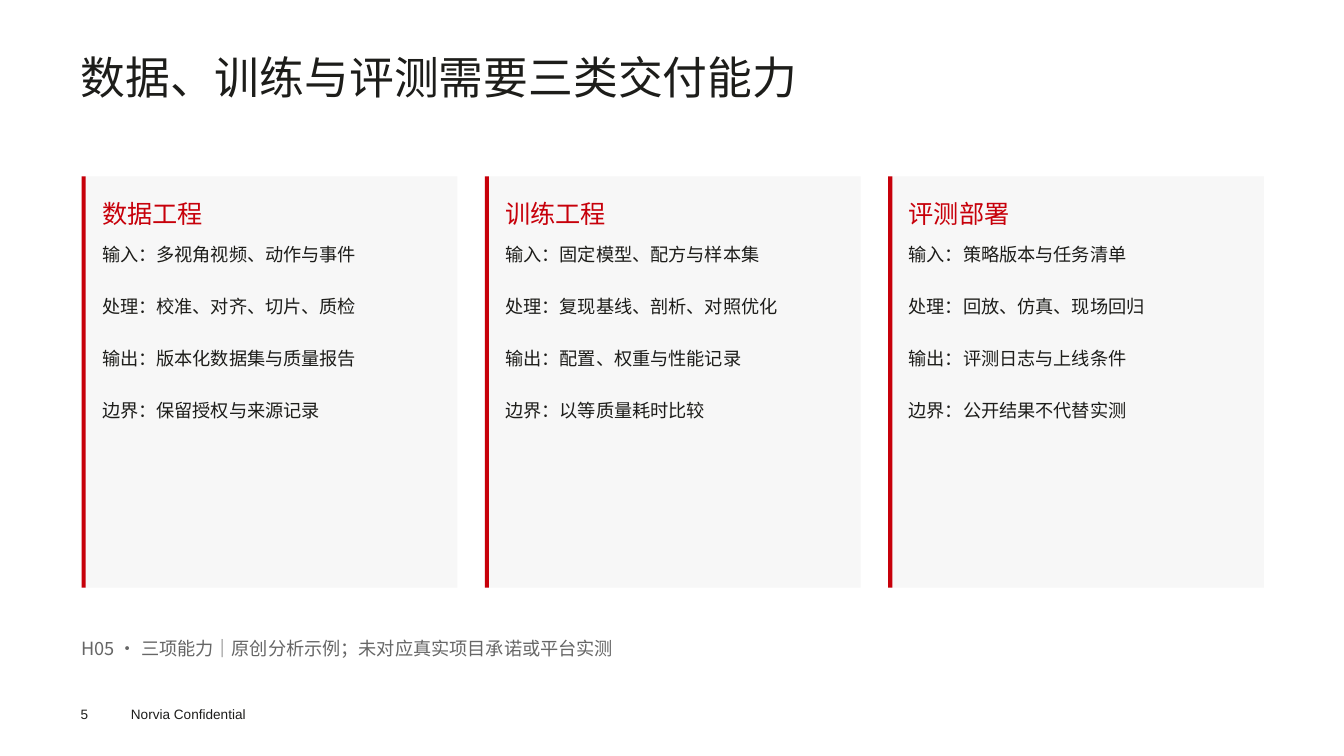
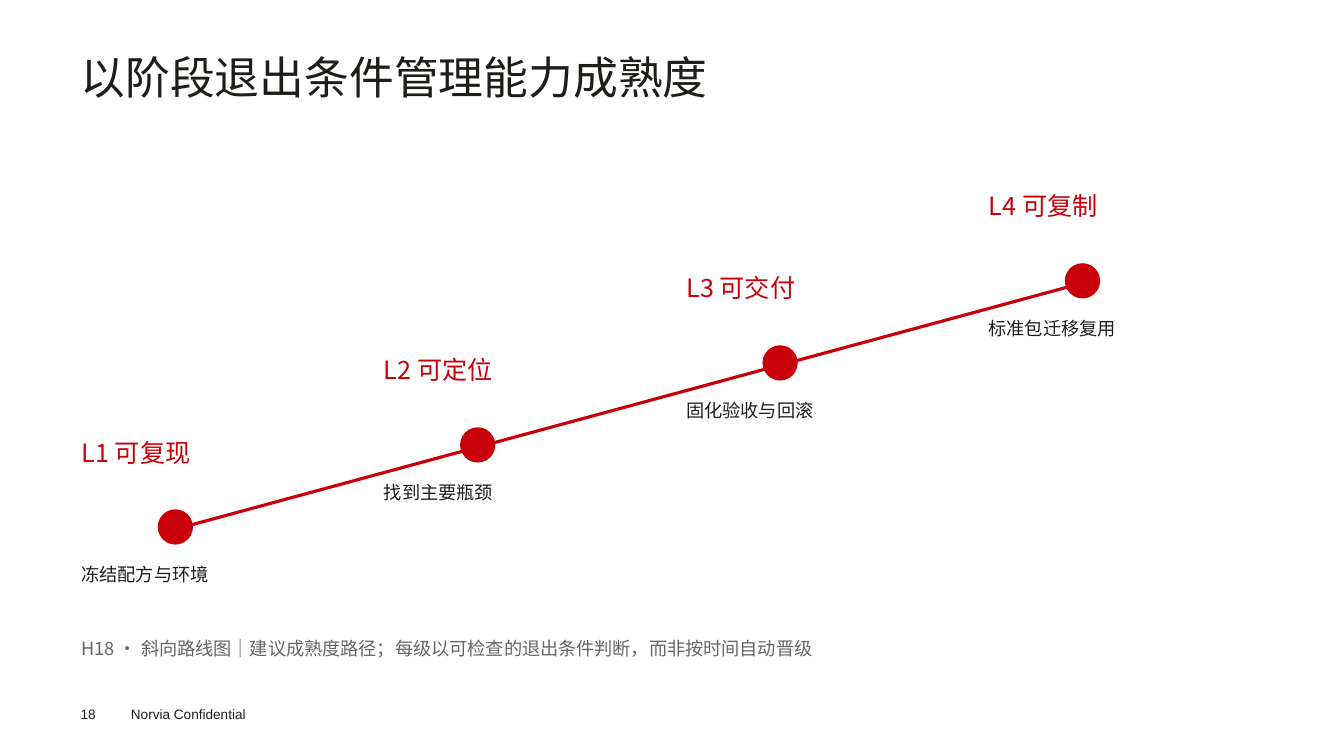
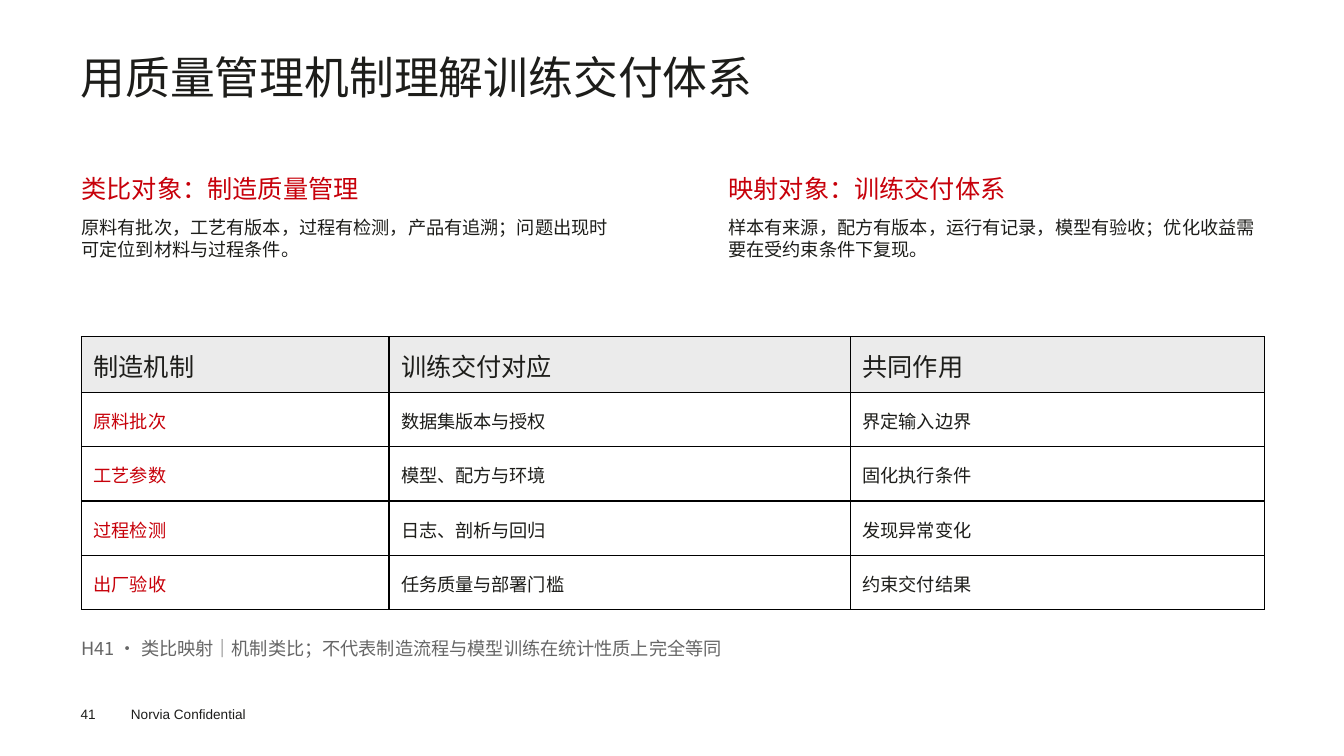
from dataclasses import dataclass

from lxml import etree
from pptx import Presentation
from pptx import util as u
from pptx.dml.color import RGBColor
from pptx.enum import shapes, text
from pptx.oxml import ns

COLORS = {
    "title": "1D1D1A",
    "footer": "1D1D1B",
    "accent": "C7000A",
    "muted": "666666",
    "card": "F7F7F7",
    "header": "EBEBEB",
    "white": "FFFFFF",
    "border": "000000",
}
CJK_FONT = "Noto Sans CJK SC"
LATIN_FONT = "Arial"
HEADING_SIZE = 18
BODY_SIZE = 13
LEFT = 58.3
CONTENT_WIDTH = 845.3
FOOTER_TEXT = "Norvia Confidential"


@dataclass(frozen=True)
class Box:
    left: float
    top: float
    width: float
    height: float

    def lengths(self) -> list[u.Length]:
        return [u.Pt(value) for value in (self.left, self.top, self.width, self.height)]


@dataclass(frozen=True)
class Style:
    size: float
    color: str
    font: str = CJK_FONT
    line_ratio: float = 1.32
    gap: float = 0


@dataclass(frozen=True)
class Card:
    heading: str
    lines: tuple[str, ...]


@dataclass(frozen=True)
class Stage:
    heading: str
    condition: str


@dataclass(frozen=True)
class Analogy:
    left: float
    heading: str
    body: str


TITLE = Style(32, "title", line_ratio=1.175)
HEADING = Style(HEADING_SIZE, "accent")
BODY = Style(BODY_SIZE, "title")
BODY_LIST = Style(BODY_SIZE, "title", gap=20)
BODY_WRAPPED = Style(BODY_SIZE, "title", line_ratio=1.21)
NOTE = Style(BODY_SIZE, "muted")
FOOTER = Style(9.7, "footer", LATIN_FONT, 0)
TABLE_HEADER = Style(HEADING_SIZE, "title", line_ratio=0)
TABLE_LABEL = Style(BODY_SIZE, "accent", line_ratio=0)
TABLE_BODY = Style(BODY_SIZE, "title", line_ratio=0)

CARDS = (
    Card("数据工程", (
        "输入：多视角视频、动作与事件",
        "处理：校准、对齐、切片、质检",
        "输出：版本化数据集与质量报告",
        "边界：保留授权与来源记录",
    )),
    Card("训练工程", (
        "输入：固定模型、配方与样本集",
        "处理：复现基线、剖析、对照优化",
        "输出：配置、权重与性能记录",
        "边界：以等质量耗时比较",
    )),
    Card("评测部署", (
        "输入：策略版本与任务清单",
        "处理：回放、仿真、现场回归",
        "输出：评测日志与上线条件",
        "边界：公开结果不代替实测",
    )),
)
STAGES = (
    Stage("L1 可复现", "冻结配方与环境"),
    Stage("L2 可定位", "找到主要瓶颈"),
    Stage("L3 可交付", "固化验收与回滚"),
    Stage("L4 可复制", "标准包迁移复用"),
)
ANALOGIES = (
    Analogy(LEFT, "类比对象：制造质量管理",
            "原料有批次，工艺有版本，过程有检测，产品有追溯；问题出现时可定位到材料与过程条件。"),
    Analogy(520.6, "映射对象：训练交付体系",
            "样本有来源，配方有版本，运行有记录，模型有验收；优化收益需要在受约束条件下复现。"),
)
MECHANISMS = (
    ("制造机制", "训练交付对应", "共同作用"),
    ("原料批次", "数据集版本与授权", "界定输入边界"),
    ("工艺参数", "模型、配方与环境", "固化执行条件"),
    ("过程检测", "日志、剖析与回归", "发现异常变化"),
    ("出厂验收", "任务质量与部署门槛", "约束交付结果"),
)


def rgb(name: str) -> RGBColor:
    return RGBColor.from_string(COLORS[name])


def format_text(text_frame, style: Style) -> None:
    for index, paragraph in enumerate(text_frame.paragraphs):
        paragraph.alignment = text.PP_ALIGN.LEFT
        if style.line_ratio:
            paragraph.line_spacing = u.Pt(round(style.size * style.line_ratio, 1))
        if index and style.gap:
            paragraph.space_before = u.Pt(style.gap)
        for run in paragraph.runs:
            run.font.size = u.Pt(style.size)
            run.font.color.rgb = rgb(style.color)
            run.font.name = style.font
            east_asian = etree.SubElement(run.font._element, ns.qn("a:ea"))
            east_asian.set("typeface", style.font)


def set_margins(target, left: float, top: float, right: float, bottom: float) -> None:
    target.margin_left, target.margin_top = u.Pt(left), u.Pt(top)
    target.margin_right, target.margin_bottom = u.Pt(right), u.Pt(bottom)


def add_text(slide, box: Box, content: str, style: Style) -> None:
    text_frame = slide.shapes.add_textbox(*box.lengths()).text_frame
    text_frame.word_wrap = True
    set_margins(text_frame, 0, 0, 0, 0)
    text_frame.text = content
    format_text(text_frame, style)


def add_filled(slide, kind: shapes.MSO_SHAPE, box: Box, color: str) -> None:
    shape = slide.shapes.add_shape(kind, *box.lengths())
    shape.shadow.inherit = False
    shape.fill.solid()
    shape.fill.fore_color.rgb = rgb(color)
    shape.line.fill.background()


def add_line(slide, start: tuple[float, float], end: tuple[float, float]) -> None:
    ends = [u.Pt(value) for value in (*start, *end)]
    connector = slide.shapes.add_connector(shapes.MSO_CONNECTOR.STRAIGHT, *ends)
    connector.line.color.rgb = rgb("accent")
    connector.line.width = u.Pt(2.25)
    etree.SubElement(connector._element.spPr, ns.qn("a:effectLst"))


def add_base_slide(presentation, number: int, title: str, note: str):
    slide = presentation.slides.add_slide(presentation.slide_layouts[6])
    add_text(slide, Box(93.6, 504, 108, 12), FOOTER_TEXT, FOOTER)
    add_text(slide, Box(57.6, 504, 39.6, 12), str(number), FOOTER)
    add_text(slide, Box(57.6, 36, 846, 78.5), title, TITLE)
    add_text(slide, Box(LEFT, 453.6, CONTENT_WIDTH, 32.4), note, NOTE)
    return slide


def draw_card(slide, card: Card, left: float) -> None:
    top, height = 126, 293.8
    add_filled(slide, shapes.MSO_SHAPE.RECTANGLE, Box(left, top, 268.6, height), "card")
    add_filled(slide, shapes.MSO_SHAPE.RECTANGLE, Box(left, top, 3, height), "accent")
    add_text(slide, Box(left + 14.7, 139.7, 239, 27.4), card.heading, HEADING)
    add_text(slide, Box(left + 14.7, 172.1, 239, 235.4), "\n".join(card.lines), BODY_LIST)


def draw_roadmap(slide) -> None:
    step_x, step_y, diameter = 216.1, -58.6, 25.2
    centers = [(125.3 + index * step_x, 378 + index * step_y) for index in range(len(STAGES))]
    for start, end in zip(centers, centers[1:]):
        add_line(slide, start, end)
    for stage, (x, y) in zip(STAGES, centers):
        left = x - 67
        add_filled(slide, shapes.MSO_SHAPE.OVAL,
                   Box(x - diameter / 2, y - 14.2, diameter, diameter), "accent")
        add_text(slide, Box(left, y - 68.2, 195, 27.4), stage.heading, HEADING)
        add_text(slide, Box(left, y + 23, 193.7, 43.9), stage.condition, BODY)


def set_borders(cell) -> None:
    properties = cell._tc.get_or_add_tcPr()
    for index, side in enumerate(("lnL", "lnR", "lnT", "lnB")):
        border = etree.Element(ns.qn(f"a:{side}"), w=str(u.Pt(1)))
        fill = etree.SubElement(border, ns.qn("a:solidFill"))
        etree.SubElement(fill, ns.qn("a:srgbClr"), val=COLORS["border"])
        properties.insert(index, border)


def draw_mechanism_table(slide) -> None:
    widths = (219.7, 329.8, 295.8)
    heights = (40, 38.7, 38.7, 38.7, 38.7)
    box = Box(LEFT, 240.5, sum(widths), sum(heights))
    table = slide.shapes.add_table(len(heights), len(widths), *box.lengths()).table
    for column, width in zip(table.columns, widths):
        column.width = u.Pt(width)
    for row_index, (row, height) in enumerate(zip(table.rows, heights)):
        row.height = u.Pt(height)
        for column_index, cell in enumerate(row.cells):
            is_header = row_index == 0
            cell.text_frame.text = MECHANISMS[row_index][column_index]
            body_style = TABLE_BODY if column_index else TABLE_LABEL
            format_text(cell.text_frame, TABLE_HEADER if is_header else body_style)
            cell.vertical_anchor = text.MSO_ANCHOR.MIDDLE
            set_margins(cell, 8.6, 7.2, 8.6, 5.8)
            cell.fill.solid()
            cell.fill.fore_color.rgb = rgb("header" if is_header else "white")
            set_borders(cell)


def build_capabilities(presentation) -> None:
    slide = add_base_slide(presentation, 5, "数据、训练与评测需要三类交付能力",
                           "H05 · 三项能力｜原创分析示例；未对应真实项目承诺或平台实测")
    for index, card in enumerate(CARDS):
        draw_card(slide, card, LEFT + index * 288.2)


def build_maturity(presentation) -> None:
    slide = add_base_slide(presentation, 18, "以阶段退出条件管理能力成熟度",
                           "H18 · 斜向路线图｜建议成熟度路径；每级以可检查的退出条件判断，而非按时间自动晋级")
    draw_roadmap(slide)


def build_analogy(presentation) -> None:
    slide = add_base_slide(presentation, 41, "用质量管理机制理解训练交付体系",
                           "H41 · 类比映射｜机制类比；不代表制造流程与模型训练在统计性质上完全等同")
    for analogy in ANALOGIES:
        add_text(slide, Box(analogy.left, 121.7, 379, 27.4), analogy.heading, HEADING)
        add_text(slide, Box(analogy.left, 154.1, 379, 59.8), analogy.body, BODY_WRAPPED)
    draw_mechanism_table(slide)


def main() -> None:
    presentation = Presentation()
    presentation.slide_width, presentation.slide_height = u.Pt(960.5), u.Pt(540)
    build_capabilities(presentation)
    build_maturity(presentation)
    build_analogy(presentation)
    presentation.save("out.pptx")


if __name__ == "__main__":
    main()
